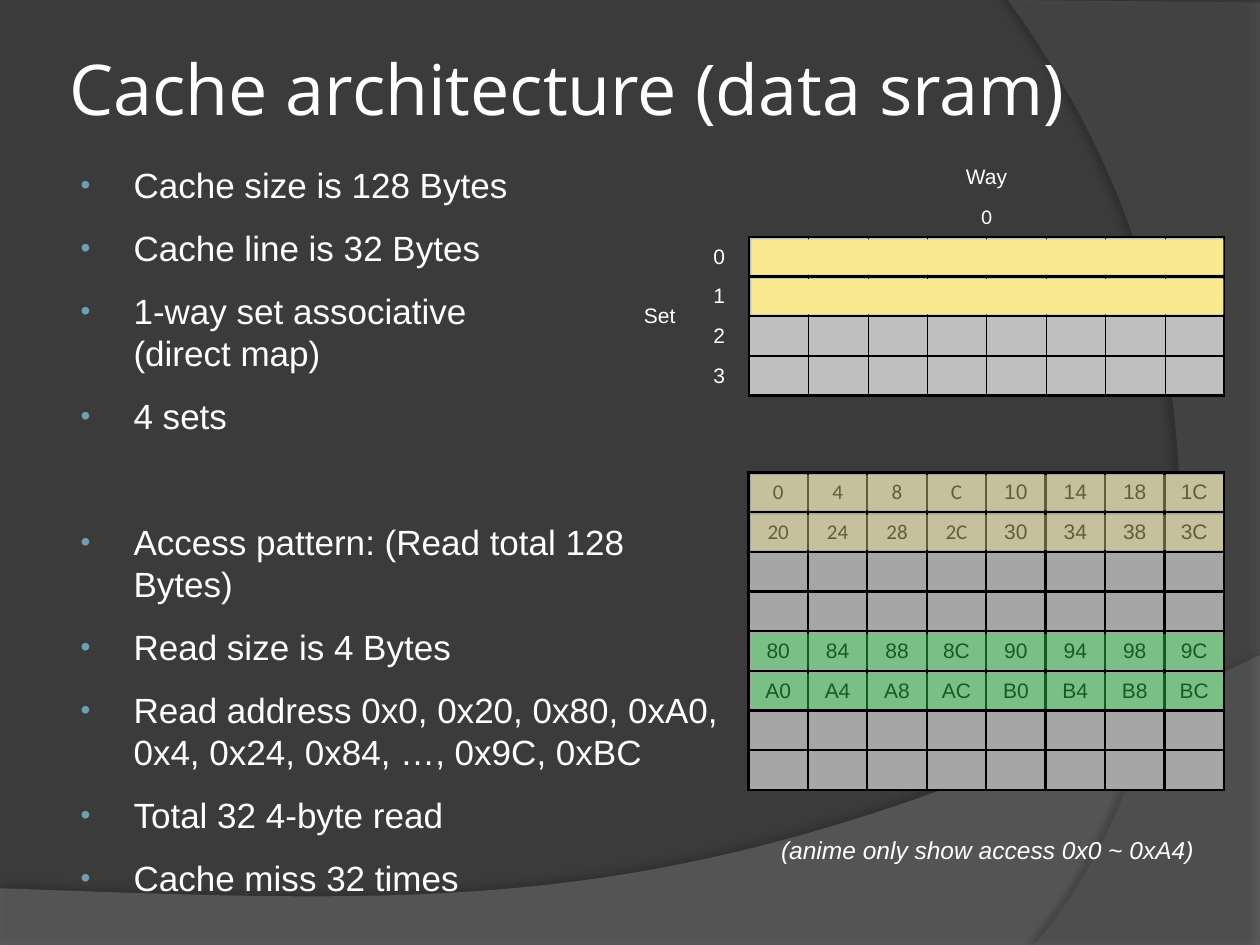
from dataclasses import dataclass

from lxml.etree import SubElement
from pptx import Presentation
from pptx.dml.color import RGBColor
from pptx.enum.shapes import MSO_SHAPE
from pptx.enum.text import MSO_ANCHOR, MSO_AUTO_SIZE, PP_ALIGN
from pptx.oxml import parse_xml
from pptx.oxml.ns import nsdecls, qn
from pptx.util import Inches, Pt


@dataclass(frozen=True)
class Theme:
    back: str = "3B3B3B"
    wave: str = "7F7F7F"
    arc: str = "5E5E5E"
    text: str = "FFFFFF"
    ink: str = "000000"
    dot: str = "6EA0B0"
    line: str = "BFBFBF"
    word: str = "A6A6A6"
    gold: str = "F9E98E"
    green: str = "38E855"
    head: str = "Open Sans"
    body: str = "Arial"
    digit: str = "Calibri"
    big: int = 40
    list: int = 20
    note: int = 14
    small: int = 12


THEME = Theme()
PITCH = 0.315
CELL = 0.472
THICK, THIN = 1.5, 0.25
ITEMS = [
    "Cache size is 128 Bytes",
    "Cache line is 32 Bytes",
    "1-way set associative\v(direct map)",
    "4 sets",
    "Access pattern: (Read total 128 Bytes)",
    "Read size is 4 Bytes",
    "Read address 0x0, 0x20, 0x80, 0xA0, 0x4, 0x24, 0x84, …, 0x9C, 0xBC",
    "Total 32 4-byte read",
    "Cache miss 32 times",
]


def set_box(shape, box):
    shape.left, shape.top, shape.width, shape.height = map(Inches, box)


def set_font(para, size, name=THEME.body, color=THEME.text):
    para.font.size = Pt(size)
    para.font.name = name
    para.font.color.rgb = RGBColor.from_string(color)


def paint(shape, color, alpha=100):
    shape.fill.solid()
    shape.fill.fore_color.rgb = RGBColor.from_string(color)
    if alpha < 100:
        tint = shape.fill._xPr.find(qn("a:solidFill"))[0]
        SubElement(tint, qn("a:alpha"), val=str(alpha * 1000))
    shape.line.fill.background()
    shape.shadow.inherit = False


def curve(start, one, two, end, steps=60):
    for i in range(steps + 1):
        t = i / steps
        u = 1 - t
        parts = (u**3, 3 * u * u * t, 3 * u * t * t, t**3)
        yield tuple(
            sum(k * p[axis] for k, p in zip(parts, (start, one, two, end)))
            for axis in (0, 1)
        )


def add_sweep(slide, points, layer, color, alpha, shade, dist, angle):
    first, *rest = [(Inches(x), Inches(y)) for x, y in points]
    pen = slide.shapes.build_freeform(*first)
    pen.add_line_segments(rest, close=True)
    shape = pen.convert_to_shape()
    paint(shape, color, alpha)
    glow = shape.element.spPr.find(qn("a:effectLst"))
    glow.append(parse_xml(
        f'<a:outerShdw {nsdecls("a")} blurRad="{Pt(4)}" dist="{Pt(dist)}" '
        f'dir="{angle * 60000}" algn="ctr" rotWithShape="0"><a:srgbClr val="{THEME.ink}">'
        f'<a:alpha val="{shade * 1000}"/></a:srgbClr></a:outerShdw>'))
    shape.element.getparent().insert(2 + layer, shape.element)


def add_back(slide, box):
    left, top, width, height = box
    right, base = left + width, top + height
    slide.background.fill.solid()
    slide.background.fill.fore_color.rgb = RGBColor.from_string(THEME.back)
    wave = curve((right, top + 5.2), (left + 5.59, top + 7.29),
                 (left + 3.91, top + 7.19), (left, top + 7.05))
    add_sweep(slide, [(left, base), (right, base), *wave],
              0, THEME.wave, 45, 35, 3.5, 270)
    arc = curve((left + 8.21, base), (left + 9.35, top + 6.19),
                (left + 10.18, top + 3), (left + 8, top))
    add_sweep(slide, [(right, top + 0.02), (right, base), *arc],
              1, THEME.arc, 40, 45, 4, 180)


def add_title(slide, box):
    title = slide.shapes.title
    set_box(title, box)
    frame = title.text_frame
    frame.text = "Cache architecture (data sram)"
    frame.auto_size = MSO_AUTO_SIZE.NONE
    frame.vertical_anchor = MSO_ANCHOR.MIDDLE
    frame.margin_left = frame.margin_right = Inches(0.05)
    frame.margin_top = frame.margin_bottom = Inches(0.05)
    para = frame.paragraphs[0]
    para.alignment = PP_ALIGN.LEFT
    set_font(para, THEME.big, THEME.head)


def add_list(slide, box):
    body = slide.placeholders[1]
    set_box(body, box)
    frame = body.text_frame
    frame.text = "\n".join(ITEMS)
    frame.auto_size = MSO_AUTO_SIZE.NONE
    for para in frame.paragraphs:
        props = para._p.get_or_add_pPr()
        props.set("marL", str(Inches(0.46)))
        props.set("indent", str(Inches(-0.42)))
        tint = SubElement(props, qn("a:buClr"))
        SubElement(tint, qn("a:srgbClr"), val=THEME.dot)
        SubElement(props, qn("a:buSzPct"), val="80000")
        SubElement(props, qn("a:buFont"), typeface=THEME.body)
        SubElement(props, qn("a:buChar"), char="•")
        set_font(para, THEME.list)
        para.line_spacing = Pt(24)
        para.space_before = Pt(48 if para.text.startswith("Access") else 12)


def add_grid(slide, box, rows, cols):
    table = slide.shapes.add_table(rows, cols, *map(Inches, box)).table
    table.first_row = table.horz_banding = False
    for row in table.rows:
        row.height = Inches(box[3] / rows)
    for col in table.columns:
        col.width = Inches(box[2] / cols)
    return table


def set_cell(cell, text, color, fill=None, name=THEME.body, edges=(0, 0, 0, 0)):
    cell.text = text
    cell.vertical_anchor = MSO_ANCHOR.MIDDLE
    cell.margin_left = cell.margin_right = Inches(0.04)
    cell.margin_top = cell.margin_bottom = 0
    para = cell.text_frame.paragraphs[0]
    para.alignment = PP_ALIGN.CENTER
    set_font(para, THEME.small, name, color)
    if fill:
        cell.fill.solid()
        cell.fill.fore_color.rgb = RGBColor.from_string(fill)
    else:
        cell.fill.background()
    props = cell._tc.get_or_add_tcPr()
    ink = f'<a:solidFill><a:srgbClr val="{THEME.ink}"/></a:solidFill>'
    for i, (side, width) in enumerate(zip("LRTB", edges)):
        props.insert(i, parse_xml(
            f'<a:ln{side} {nsdecls("a")} w="{Pt(width)}">'
            f'{ink if width else "<a:noFill/>"}</a:ln{side}>'))


def add_strip(slide, box, row, color, alpha=100):
    left, top, width, _ = box
    shape = slide.shapes.add_shape(
        MSO_SHAPE.RECTANGLE, Inches(left + 0.02), Inches(top + row * PITCH + 0.02),
        Inches(width - 0.03), Inches(0.28))
    paint(shape, color, alpha)


def add_cache(slide, box):
    table = add_grid(slide, box, 6, 10)
    labels = {(0, 2): "Way", (1, 2): "0", (2, 0): "Set"}
    labels.update({(row + 2, 1): str(row) for row in range(4)})
    for row in range(6):
        for col in range(10):
            data = row > 1 and col > 1
            if data:
                edges = (THICK if col == 2 else THIN,
                         THICK if col == 9 else THIN, THICK, THICK)
            else:
                edges = (0, THICK if row > 1 and col == 1 else 0,
                         0, THICK if row == 1 and col > 1 else 0)
            name = THEME.digit if (row, col) == (1, 2) else THEME.body
            set_cell(table.cell(row, col), labels.get((row, col), ""), THEME.text,
                     THEME.line if data else None, name, edges)
    for first, last in (((0, 2), (0, 9)), ((1, 2), (1, 9)), ((2, 0), (5, 0))):
        table.cell(*first).merge(table.cell(*last))
    left, top, width, height = box
    lines = (left + 2 * CELL, top, width - 2 * CELL, height)
    for row in (2, 3):
        add_strip(slide, lines, row, THEME.gold)


def add_words(slide, box):
    table = add_grid(slide, box, 8, 8)
    strips = {0: THEME.gold, 1: THEME.gold, 4: THEME.green, 5: THEME.green}
    for row in range(8):
        for col in range(8):
            text = f"{row * 32 + col * 4:X}" if row in strips else ""
            name = THEME.digit if row < 2 and col < 4 else THEME.body
            set_cell(table.cell(row, col), text, THEME.ink, THEME.word, name, (THICK,) * 4)
    for row, color in strips.items():
        add_strip(slide, box, row, color, 40)


def add_note(slide, box):
    frame = slide.shapes.add_textbox(*map(Inches, box)).text_frame
    frame.word_wrap = True
    frame.auto_size = MSO_AUTO_SIZE.SHAPE_TO_FIT_TEXT
    frame.text = "(anime only show access 0x0 ~ 0xA4)"
    para = frame.paragraphs[0]
    set_font(para, THEME.note)
    para.font.italic = True


def main():
    deck = Presentation()
    deck.slide_width, deck.slide_height = Inches(10), Inches(7.5)
    slide = deck.slides.add_slide(deck.slide_layouts[1])
    add_back(slide, (0, 0, 10, 7.5))
    add_title(slide, (0.5, 0.3, 9, 0.79))
    add_list(slide, (0.5, 1.25, 5.39, 5.91))
    add_cache(slide, (5, 1.25, 10 * CELL, 6 * PITCH))
    add_words(slide, (5.94, 3.75, 8 * CELL, 8 * PITCH))
    add_note(slide, (6.1, 6.58, 3.62, 0.34))
    deck.save("out.pptx")


if __name__ == "__main__":
    main()
